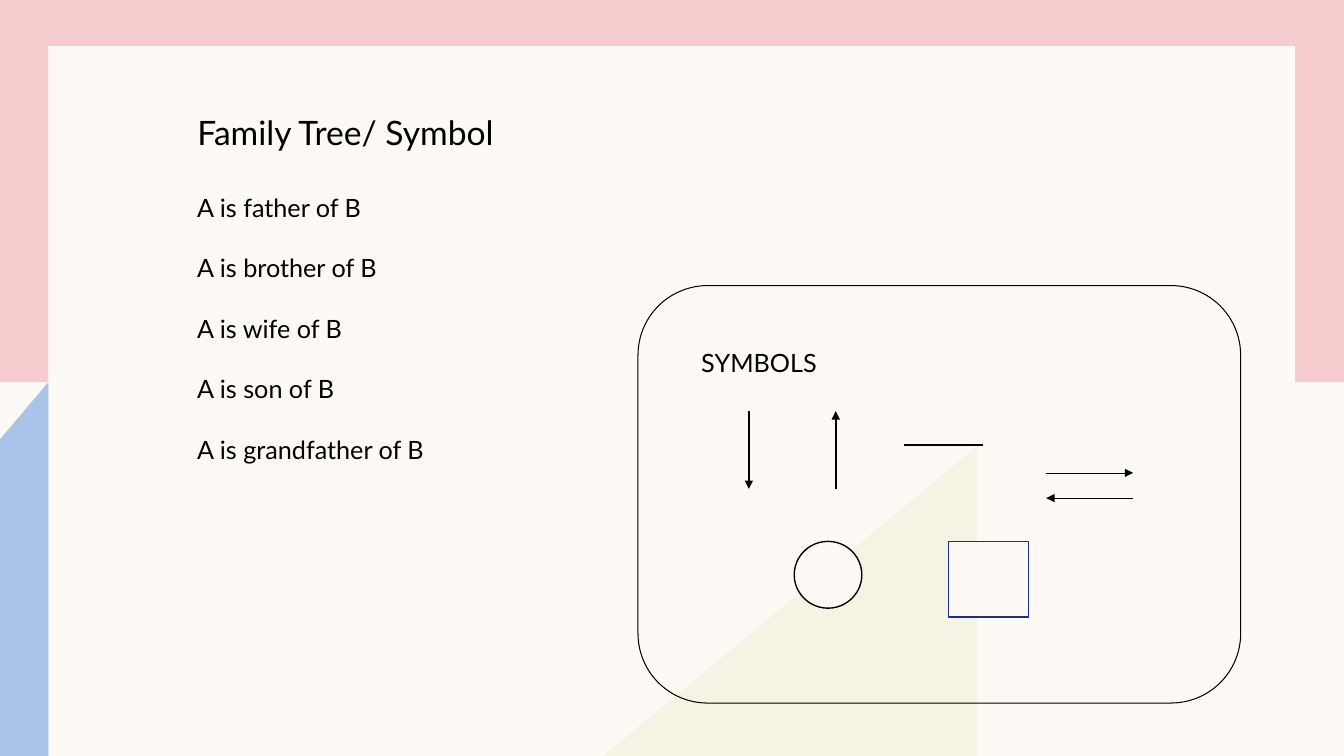
import dataclasses

import lxml.etree
import pptx
import pptx.dml.color
import pptx.enum.shapes
import pptx.enum.text
import pptx.oxml.ns
import pptx.util

SHAPES = pptx.enum.shapes.MSO_SHAPE
COLUMNS, ROWS = 32, 18


@dataclasses.dataclass(frozen=True)
class Theme:
    font: str = "Lato"
    ink: str = "000000"
    paper: str = "FDFAF6"
    pink: str = "F5CDCE"
    blue: str = "AAC3E8"
    olive: str = "EDEED3"
    navy: str = "1F2C8F"
    title_size: float = 24
    body_size: float = 18
    line_gap: float = 21.6


def rgb(colour):
    return pptx.dml.color.RGBColor.from_string(colour)


def add_xml(parent, tag, **attributes):
    return lxml.etree.SubElement(parent, pptx.oxml.ns.qn(tag), **attributes)


class SlideBuilder:
    """Draws on one slide; all lengths are grid columns and rows."""

    def __init__(self, presentation, theme):
        self.theme = theme
        self.column = presentation.slide_width / COLUMNS
        self.row = presentation.slide_height / ROWS
        self.slide = presentation.slides.add_slide(presentation.slide_layouts[5])
        self.shapes = self.slide.shapes
        background = self.slide.background.fill
        background.solid()
        background.fore_color.rgb = rgb(theme.paper)

    def point(self, x, y):
        return round(x * self.column), round(y * self.row)

    def box(self, left, top, width, height):
        return self.point(left, top) + self.point(width, height)

    def paint(self, shape, fill=None, line=None, weight=1):
        shape.shadow.inherit = False
        if fill:
            shape.fill.solid()
            shape.fill.fore_color.rgb = rgb(fill)
        else:
            shape.fill.background()
        if line:
            shape.line.color.rgb = rgb(line)
            shape.line.width = pptx.util.Pt(weight)
        else:
            shape.line.fill.background()

    def shape(self, kind, area, **style):
        self.paint(self.shapes.add_shape(kind, *self.box(*area)), **style)

    def polygon(self, corners, fill, opacity=100):
        start, *others = [self.point(*corner) for corner in corners]
        outline = self.shapes.build_freeform(*start)
        outline.add_line_segments(others, close=True)
        polygon = outline.convert_to_shape()
        self.paint(polygon, fill)
        if opacity < 100:
            colour = polygon.element.spPr.find(".//" + pptx.oxml.ns.qn("a:srgbClr"))
            add_xml(colour, "a:alpha", val=str(opacity * 1000))

    def line(self, start, end, weight, arrow=True):
        line = self.shapes.add_connector(
            pptx.enum.shapes.MSO_CONNECTOR.STRAIGHT,
            *self.point(*start), *self.point(*end))
        line.line.color.rgb = rgb(self.theme.ink)
        line.line.width = pptx.util.Pt(weight)
        properties = line.element.spPr
        if arrow:
            stroke = properties.find(pptx.oxml.ns.qn("a:ln"))
            add_xml(stroke, "a:tailEnd", type="triangle")
        add_xml(properties, "a:effectLst")

    def set_text(self, frame, lines, size):
        frame.word_wrap = True
        frame.auto_size = pptx.enum.text.MSO_AUTO_SIZE.NONE
        frame.vertical_anchor = pptx.enum.text.MSO_ANCHOR.TOP
        frame.text = "\n".join(lines)
        for paragraph in frame.paragraphs:
            paragraph.alignment = pptx.enum.text.PP_ALIGN.LEFT
            paragraph.space_after = pptx.util.Pt(self.theme.line_gap)
            paragraph.font.name = self.theme.font
            paragraph.font.size = pptx.util.Pt(size)
            paragraph.font.color.rgb = rgb(self.theme.ink)

    def title(self, text, area):
        title = self.shapes.title
        title.left, title.top, title.width, title.height = self.box(*area)
        self.set_text(title.text_frame, [text], self.theme.title_size)
        # Bring the title in front of the backdrop
        title.element.getparent().append(title.element)

    def text(self, lines, area):
        text_box = self.shapes.add_textbox(*self.box(*area))
        self.set_text(text_box.text_frame, lines, self.theme.body_size)


def main():
    presentation = pptx.Presentation()
    presentation.slide_width = pptx.util.Inches(13.33)
    presentation.slide_height = pptx.util.Inches(7.5)
    theme = Theme()
    page = SlideBuilder(presentation, theme)

    # Backdrop
    page.shape(SHAPES.RECTANGLE, (0, 0, COLUMNS, 9.1), fill=theme.pink)
    page.shape(SHAPES.RECTANGLE, (1.15, 1.1, 29.68, 15.82), fill=theme.paper)
    page.polygon([(14.35, ROWS), (23.26, 10.63), (23.26, ROWS)],
                 theme.olive, opacity=50)
    page.polygon([(1.15, 9.1), (1.15, ROWS), (0, ROWS), (0, 10.46)], theme.blue)

    # Title and relations
    page.title("Family Tree/ Symbol", (4.46, 2.54, 18.86, 1.2))
    relations = ["father", "brother", "wife", "son", "grandfather"]
    page.text([f"A is {relation} of B" for relation in relations],
              (4.46, 4.46, 18.86, 6.8))

    # Generation arrows and sibling line
    page.text(["SYMBOLS"], (16.46, 8.16, 10.51, 2.42))
    upper, lower = 9.79, 11.64
    page.line((17.83, upper), (17.83, lower), 1.5)
    page.line((19.9, lower), (19.9, upper), 1.5)
    page.line((21.52, 10.59), (23.4, 10.59), 1.5, arrow=False)

    # Female and male symbols
    page.shape(SHAPES.OVAL, (18.91, 12.89, 1.61, 1.59),
               fill=theme.paper, line=theme.ink)
    page.shape(SHAPES.RECTANGLE, (22.59, 12.89, 1.9, 1.8),
               fill=theme.paper, line=theme.navy)

    # Marriage arrows
    left, right = 24.91, 26.98
    page.line((left, 11.26), (right, 11.26), 0.5)
    page.line((right, 11.86), (left, 11.86), 0.5)

    # Frame around the symbols
    page.shape(SHAPES.ROUNDED_RECTANGLE, (15.19, 6.8, 14.35, 9.94),
               line=theme.ink, weight=0.75)

    presentation.save("out.pptx")


if __name__ == "__main__":
    main()
